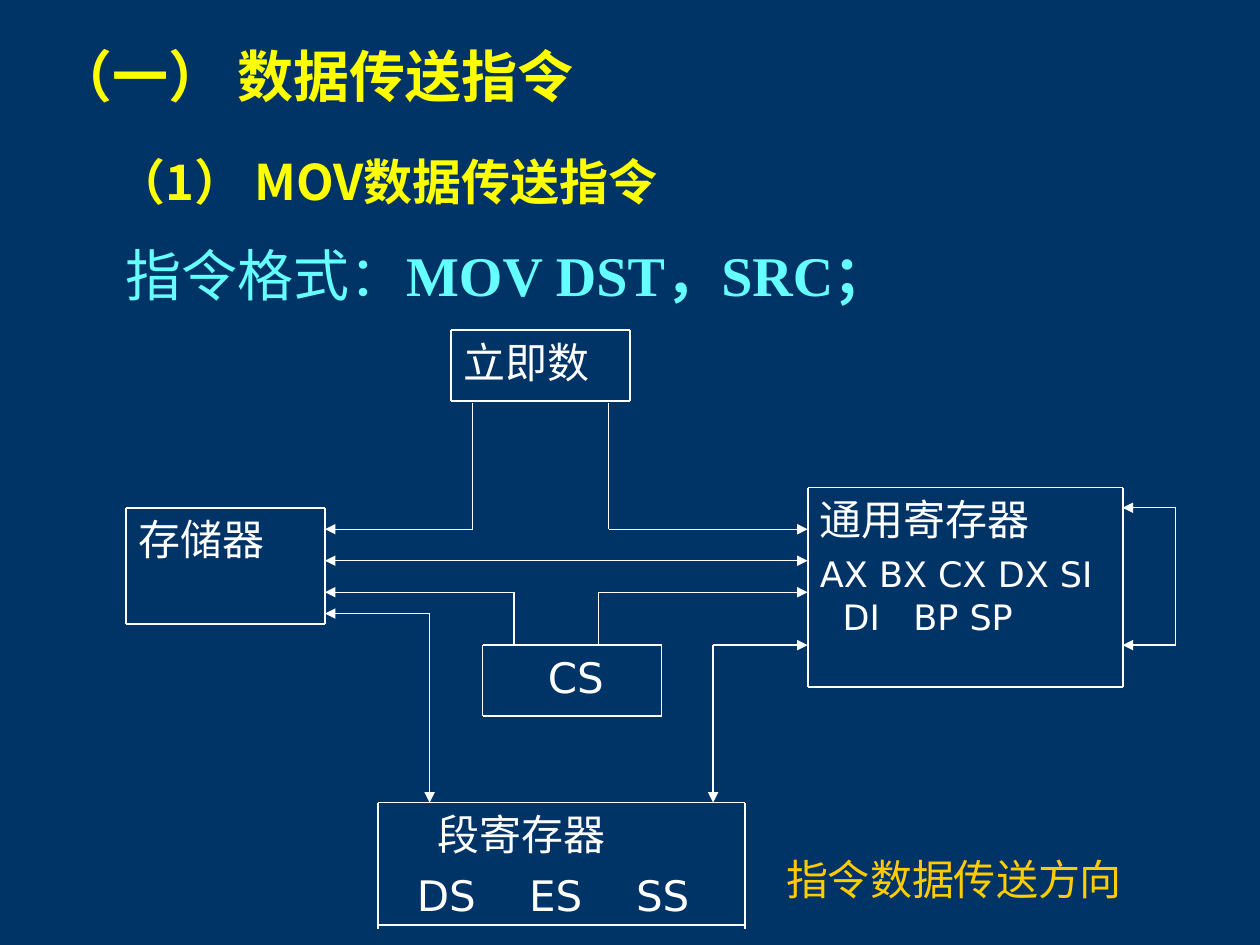
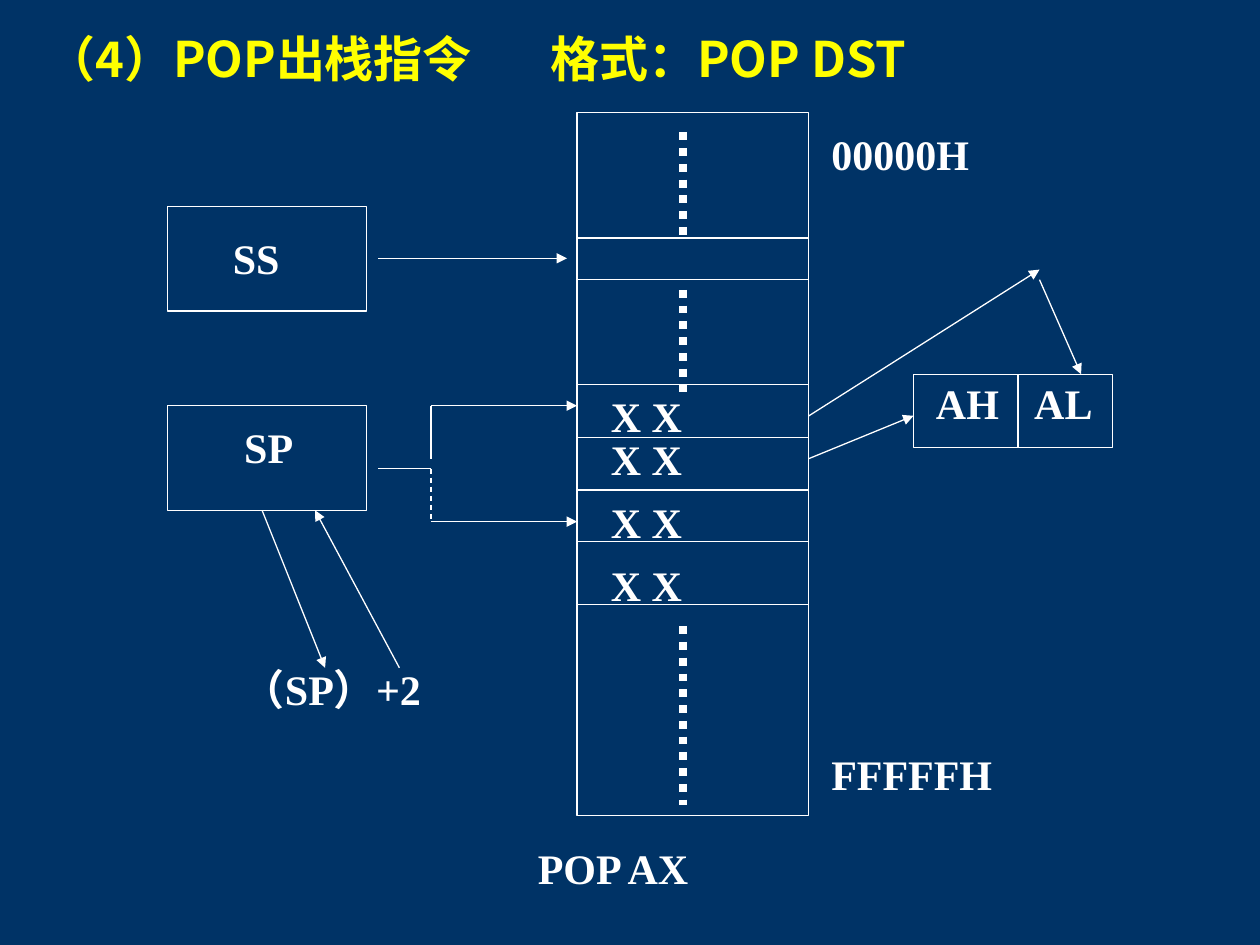
from dataclasses import dataclass
from itertools import pairwise

from lxml.etree import SubElement
from pptx import Presentation
from pptx.dml.color import RGBColor
from pptx.enum.dml import MSO_LINE
from pptx.enum.shapes import MSO_CONNECTOR, MSO_SHAPE
from pptx.enum.text import MSO_ANCHOR
from pptx.oxml.ns import qn
from pptx.util import Inches, Pt


@dataclass(frozen=True)
class TextStyle:
    """Font, size, weight and colour of a run."""
    name: str
    size: int
    color: str
    bold: bool = False
    east_asian: str = "Noto Sans CJK JP"


class Theme:
    """Colours, line widths and text styles shared by the slides."""
    background = "003366"
    line = "FFFFFF"
    thin, frame, dots = 0.75, 1, 4.5
    heading = TextStyle("Noto Sans CJK JP", 32, "FFFF00", True)
    subheading = TextStyle("Noto Sans CJK JP", 28, "FFFF00", True)
    syntax = TextStyle("Noto Sans CJK JP", 32, "66FFFF")
    syntax_code = TextStyle("Times New Roman", 32, "66FFFF", True)
    caption = TextStyle("DejaVu Sans", 24, "FFCC00", False, "DejaVu Sans")
    node = TextStyle("DejaVu Sans", 24, "FFFFFF", False, "DejaVu Sans")
    detail = TextStyle("DejaVu Sans", 20, "FFFFFF", False, "DejaVu Sans")
    label = TextStyle("Times New Roman", 24, "FFFFFF", True)


def rgb(color):
    """Turn a hex string into a colour."""
    return RGBColor.from_string(color)


def add_slide(presentation):
    """Add a blank slide with the shared background."""
    slide = presentation.slides.add_slide(presentation.slide_layouts[6])
    slide.background.fill.solid()
    slide.background.fill.fore_color.rgb = rgb(Theme.background)
    return slide


def add_run(paragraph, text, style):
    """Append a run in the given style."""
    run = paragraph.add_run()
    run.text = text
    values = {"name": style.name, "size": Pt(style.size), "bold": style.bold}
    for attribute, value in values.items():
        setattr(run.font, attribute, value)
    run.font.color.rgb = rgb(style.color)
    SubElement(run._r.get_or_add_rPr(), qn("a:ea"), typeface=style.east_asian)


def set_tabs(paragraph, stops):
    """Give a paragraph left tab stops in inches."""
    tab_list = SubElement(paragraph._p.get_or_add_pPr(), qn("a:tabLst"))
    for stop in stops:
        SubElement(tab_list, qn("a:tab"), pos=str(Inches(stop)), algn="l")


def add_frame(slide, box, wrap=True, anchor=MSO_ANCHOR.TOP):
    """Add a text box with the shared insets and return its text frame."""
    frame = slide.shapes.add_textbox(*map(Inches, box)).text_frame
    values = {"margin_left": Inches(0.1), "margin_right": Inches(0.1),
              "margin_top": Inches(0.05), "margin_bottom": Inches(0.05),
              "word_wrap": wrap, "vertical_anchor": anchor}
    for attribute, value in values.items():
        setattr(frame, attribute, value)
    return frame


def add_text(slide, box, *runs, tabs=(), **options):
    """Add a one-paragraph text box made of (text, style) runs."""
    paragraph = add_frame(slide, box, **options).paragraphs[0]
    if tabs:
        set_tabs(paragraph, tabs)
    for text, style in runs:
        add_run(paragraph, text, style)


def add_box(slide, box):
    """Add an unfilled rectangle with a white outline."""
    shape = slide.shapes.add_shape(MSO_SHAPE.RECTANGLE, *map(Inches, box))
    shape.shadow.inherit = False
    shape.fill.background()
    shape.line.color.rgb = rgb(Theme.line)
    shape.line.width = Pt(Theme.thin)


def add_node(slide, box, *rows, overhang=0):
    """Add a block of (text, style, tab stops) rows ruled on four sides."""
    frame = add_frame(slide, box)
    for index, (text, style, tabs) in enumerate(rows):
        paragraph = frame.add_paragraph() if index else frame.paragraphs[0]
        if index:
            paragraph.space_before = Pt(style.size / 4)
        if tabs:
            set_tabs(paragraph, tabs)
        for number, line in enumerate(text.split("\n")):
            if number:
                paragraph.add_line_break()
            add_run(paragraph, line, style)
    left, top, width, height = box
    right, bottom = left + width, top + height
    for y in (top, bottom):
        add_line(slide, (left, y), (right, y), width=Theme.frame)
    for x in (left, right):
        add_line(slide, (x, top), (x, bottom + overhang), width=Theme.frame)


def add_line(slide, start, end, heads=(), width=Theme.thin, dash=None):
    """Add a straight line with optional arrowheads and dashes."""
    points = map(Inches, (*start, *end))
    connector = slide.shapes.add_connector(MSO_CONNECTOR.STRAIGHT, *points)
    connector.line.color.rgb = rgb(Theme.line)
    connector.line.width = Pt(width)
    if dash:
        connector.line.dash_style = dash
    for head in heads:
        SubElement(connector.line._get_or_add_ln(), qn(head), type="triangle")
    SubElement(connector._element.spPr, qn("a:effectLst"))


def add_route(slide, *points, both=False):
    """Join points by lines, with an arrow at the end or at both ends."""
    last = len(points) - 2
    for index, (start, end) in enumerate(pairwise(points)):
        heads = ["a:headEnd"] if both and index == 0 else []
        if index == last:
            heads.append("a:tailEnd")
        add_line(slide, start, end, heads)


def build_mov_slide(presentation):
    """Draw the MOV instruction and its data paths."""
    slide = add_slide(presentation)
    add_text(slide, (0.35, 0.28, 8.25, 0.64), ("（一） 数据传送指令", Theme.heading))
    add_text(slide, (0.83, 1.15, 8.25, 0.57), ("（1） MOV数据传送指令", Theme.subheading))
    add_text(slide, (0.9, 1.86, 8.74, 0.64),
             ("指令格式：", Theme.syntax), ("MOV DST，SRC；", Theme.syntax_code))

    add_node(slide, (3.58, 2.62, 1.42, 0.56), ("立即数", Theme.node, ()))
    add_node(slide, (1, 4.03, 1.58, 0.92), ("存储器", Theme.node, ()))
    add_node(slide, (6.41, 3.87, 2.5, 1.58), ("通用寄存器", Theme.node, ()),
             ("AX BX CX DX SI\n\tDI\tBP SP", Theme.detail, (0.18, 0.74)))
    add_node(slide, (3, 6.37, 2.91, 0.97), ("\t段寄存器", Theme.node, (0.37,)),
             ("\tDS\tES\tSS", Theme.node, (0.21, 1.1, 1.95)), overhang=0.03)
    add_node(slide, (3.83, 5.12, 1.42, 0.56), ("\tCS", Theme.node, (0.42,)))

    memory, general, segment, code, loop = 2.58, 6.41, 6.37, 5.12, 9.33
    for x, side in ((3.75, memory), (4.83, general)):
        add_route(slide, (x, 3.2), (x, 4.2), (side, 4.2))
    for x, side in ((4.08, memory), (4.75, general)):
        add_route(slide, (x, code), (x, 4.7), (side, 4.7))
    for x, side, y in ((3.41, memory, 4.87), (5.66, general, 5.12)):
        add_route(slide, (x, y), (side, y))
        add_route(slide, (x, y), (x, segment))
    for side in (memory, general):
        add_route(slide, (4.83, 4.45), (side, 4.45))
    add_route(slide, (8.91, 4.03), (loop, 4.03), (loop, 5.12), (8.91, 5.12), both=True)

    add_text(slide, (6.14, 6.44, 3.27, 0.78), ("指令数据传送方向", Theme.caption),
             anchor=MSO_ANCHOR.BOTTOM)


def build_stack(slide):
    """Draw the memory column with its cells and gaps."""
    left, right, middle = 4.58, 6.42, 5.42
    add_box(slide, (left, 0.89, right - left, 5.58))
    for y in (1.89, 2.22, 3.05, 3.47, 3.89, 4.3, 4.8):
        add_line(slide, (left, y), (right, y))
    for top, bottom in ((1.05, 1.89), (2.3, 3.14), (4.97, 6.39)):
        add_line(slide, (middle, top), (middle, bottom),
                 width=Theme.dots, dash=MSO_LINE.ROUND_DOT)
    for y in (3.05, 3.39, 3.89, 4.39):
        add_text(slide, (4.75, y, 1.27, 0.5), ("X X", Theme.label))


def build_pop_slide(presentation):
    """Draw the POP instruction and the stack it reads."""
    slide = add_slide(presentation)
    build_stack(slide)
    for box in ((1.33, 1.64, 1.58, 0.83), (1.33, 3.22, 1.58, 0.83),
                (7.25, 2.97, 1.58, 0.58)):
        add_box(slide, box)
    add_line(slide, (8.08, 2.97), (8.08, 3.55))

    labels = (("00000H", 6.5, 0.97, 1.31), ("FFFFFH", 6.5, 5.89, 1.5),
              ("POP AX", 4.17, 6.64, 1.45), ("SP", 1.84, 3.3, 0.6),
              ("SS", 1.75, 1.8, 0.58), ("AH", 7.33, 2.95, 0.75),
              ("AL", 8.11, 2.95, 0.67))
    for text, left, top, width in labels:
        add_text(slide, (left, top, width, 0.5), (text, Theme.label))
    add_text(slide, (1.83, 5.22, 1.75, 0.9), ("（SP）+2", Theme.label))

    branch = 3.42
    add_route(slide, (3, 2.05), (4.5, 2.05))
    add_line(slide, (3, 3.72), (branch, 3.72))
    add_route(slide, (branch, 3.64), (branch, 3.22), (4.58, 3.22))
    add_line(slide, (branch, 3.72), (branch, 4.14), dash=MSO_LINE.DASH)
    add_route(slide, (branch, 4.14), (4.58, 4.14))

    add_route(slide, (2.08, 4.05), (2.58, 5.3))
    add_route(slide, (3.17, 5.3), (2.5, 4.05))
    add_route(slide, (6.42, 3.3), (8.25, 2.14))
    add_route(slide, (8.25, 2.22), (8.58, 2.97))
    add_route(slide, (6.42, 3.64), (7.25, 3.3))

    add_text(slide, (0.27, 0.18, 7.08, 0.57),
             ("（4）POP出栈指令\t格式：POP DST", Theme.subheading), tabs=(4,))


def main():
    """Build and save both slides."""
    presentation = Presentation()
    presentation.slide_width = Inches(10)
    presentation.slide_height = Inches(7.5)
    build_mov_slide(presentation)
    build_pop_slide(presentation)
    presentation.save("out.pptx")


if __name__ == "__main__":
    main()
